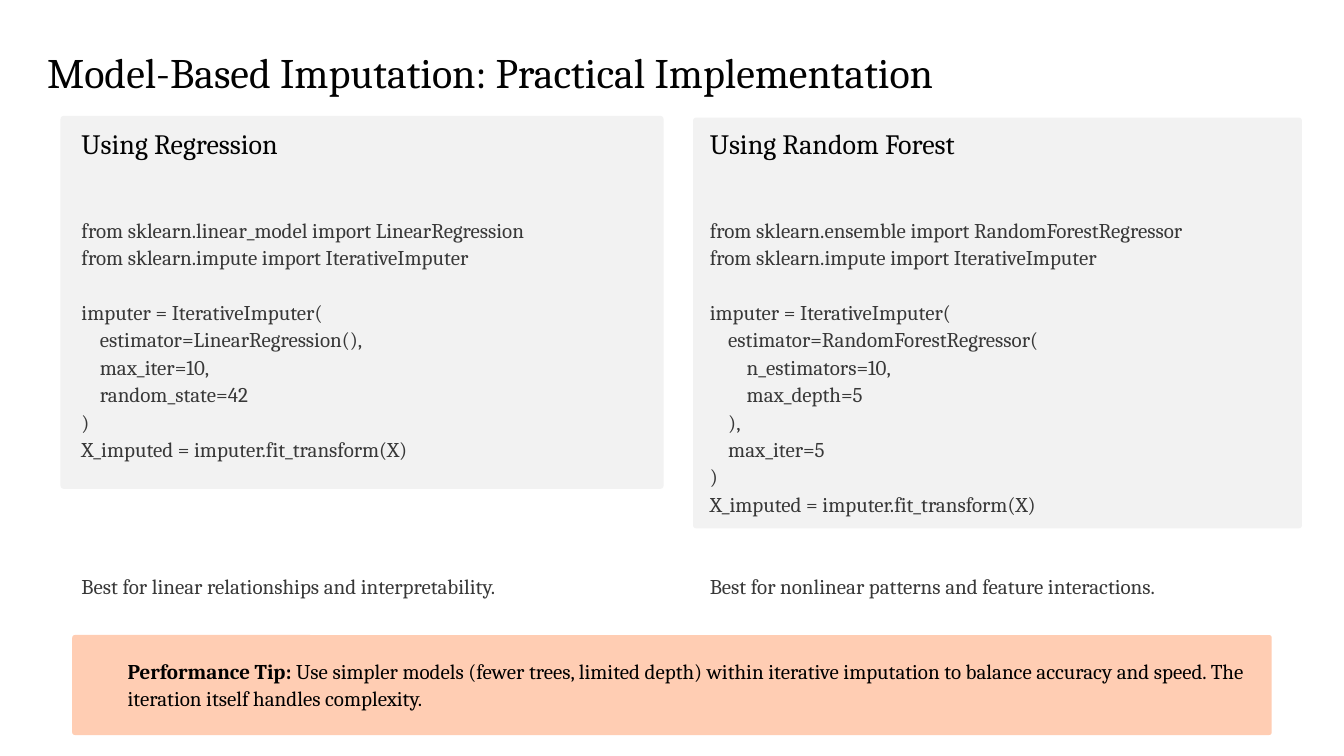
"""Build the slide comparing regression and random forest imputation."""
from dataclasses import dataclass

from lxml.etree import SubElement
from pptx import Presentation
from pptx.dml.color import RGBColor as RGB
from pptx.enum.shapes import MSO_SHAPE as SHAPE
from pptx.enum.text import MSO_ANCHOR as ANCHOR, MSO_AUTO_SIZE as AUTO, PP_ALIGN as ALIGN
from pptx.oxml.ns import qn
from pptx.util import Inches, Pt


@dataclass(frozen=True)
class Theme:
    font: str = "Cambria"
    heading: RGB = RGB(0x02, 0x02, 0x02)
    code: RGB = RGB(0x38, 0x38, 0x38)
    tip: RGB = RGB(0, 0, 0)
    panel_fill: RGB = RGB(0xF2, 0xF2, 0xF2)
    tip_fill: RGB = RGB(0xFF, 0xCD, 0xB3)
    title_size: float = 36
    heading_size: float = 24
    body_size: float = 18
    title_line: float = 48
    line: float = 23.5


theme = Theme()


def add_panel(box, fill, corner):
    panel = slide.shapes.add_shape(SHAPE.ROUNDED_RECTANGLE, *map(Inches, box))
    panel.adjustments[0] = corner
    panel.shadow.inherit = False
    panel.fill.solid()
    panel.fill.fore_color.rgb = fill
    panel.line.fill.background()


def write(holder, box, lines):
    """Fill a text holder with (text, size, color, line spacing, lines skipped before)."""
    holder.left, holder.top, holder.width, holder.height = map(Inches, box)
    frame = holder.text_frame
    frame.margin_left = frame.margin_top = frame.margin_right = frame.margin_bottom = 0
    frame.word_wrap = True
    frame.auto_size = AUTO.NONE
    frame.vertical_anchor = ANCHOR.TOP
    for number, (text, size, color, spacing, skipped) in enumerate(lines):
        paragraph = frame.add_paragraph() if number else frame.paragraphs[0]
        paragraph.text = text
        paragraph.alignment = ALIGN.LEFT
        paragraph.line_spacing = Pt(spacing)
        paragraph.space_before = Pt(skipped * spacing)
        properties = paragraph._p.get_or_add_pPr()
        properties.set("marL", "0")
        properties.set("indent", "0")
        SubElement(properties, qn("a:buNone"))
        paragraph.font.name = theme.font
        paragraph.font.size = Pt(size)
        paragraph.font.color.rgb = color
    return frame


methods = [
    {
        "panel": (0.72, 1.38, 7.18, 4.44), "corner": 0.009, "left": 0.97,
        "heading": "Using Regression",
        "imports": ["from sklearn.linear_model import LinearRegression",
                    "from sklearn.impute import IterativeImputer"],
        "calls": ["imputer = IterativeImputer(",
                  "    estimator=LinearRegression(),",
                  "    max_iter=10,",
                  "    random_state=42",
                  ")",
                  "X_imputed = imputer.fit_transform(X)"],
        "best_for": "Best for linear relationships and interpretability.",
        "gap": 4,
    },
    {
        "panel": (8.25, 1.4, 7.25, 4.89), "corner": 0.008, "left": 8.45,
        "heading": "Using Random Forest",
        "imports": ["from sklearn.ensemble import RandomForestRegressor",
                    "from sklearn.impute import IterativeImputer"],
        "calls": ["imputer = IterativeImputer(",
                  "    estimator=RandomForestRegressor(",
                  "        n_estimators=10,",
                  "        max_depth=5",
                  "    ),",
                  "    max_iter=5",
                  ")",
                  "X_imputed = imputer.fit_transform(X)"],
        "best_for": "Best for nonlinear patterns and feature interactions.",
        "gap": 2,
    },
]

deck = Presentation()
deck.slide_width, deck.slide_height = Inches(16), Inches(9)
slide = deck.slides.add_slide(deck.slide_layouts[3])
title, *bodies = slide.placeholders

write(title, (0.56, 0.49, 14.93, 0.64),
      [("Model-Based Imputation: Practical Implementation",
        theme.title_size, theme.heading, theme.title_line, 0)])

for method, body in zip(methods, bodies):
    add_panel(method["panel"], theme.panel_fill, method["corner"])
    lines = [(method["heading"], theme.heading_size, theme.heading, theme.line, 0)]
    for block, gap in ((method["imports"], 2), (method["calls"], 1),
                       ([method["best_for"]], method["gap"])):
        for row, text in enumerate(block):
            skipped = 0 if row else gap
            lines.append((text, theme.body_size, theme.code, theme.line, skipped))
    write(body, (method["left"], 1.58, 6.96, 6.36), lines)
    slide.shapes.element.append(body.element)

add_panel((0.86, 7.56, 14.28, 1.19), theme.tip_fill, 0.026)
tip_box = (1.52, 7.81, 13.41, 0.65)
tip = write(slide.shapes.add_textbox(*map(Inches, tip_box)), tip_box,
            [("Performance Tip:", theme.body_size, theme.tip, theme.line, 0)]).paragraphs[0]
tip.runs[0].font.bold = True
tip.add_run().text = (" Use simpler models (fewer trees, limited depth) within iterative imputation "
                      "to balance accuracy and speed. The iteration itself handles complexity.")

deck.save("out.pptx")
